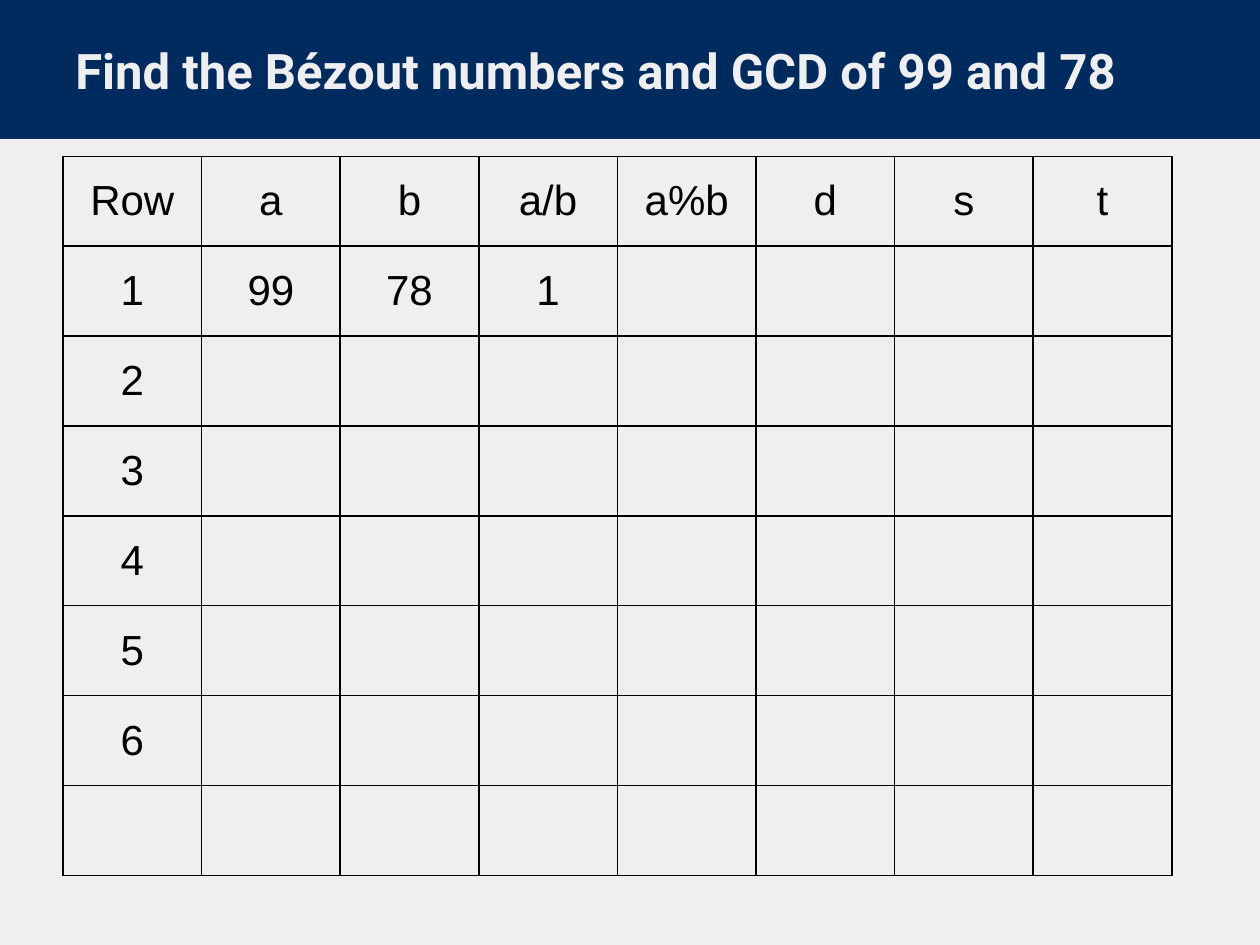
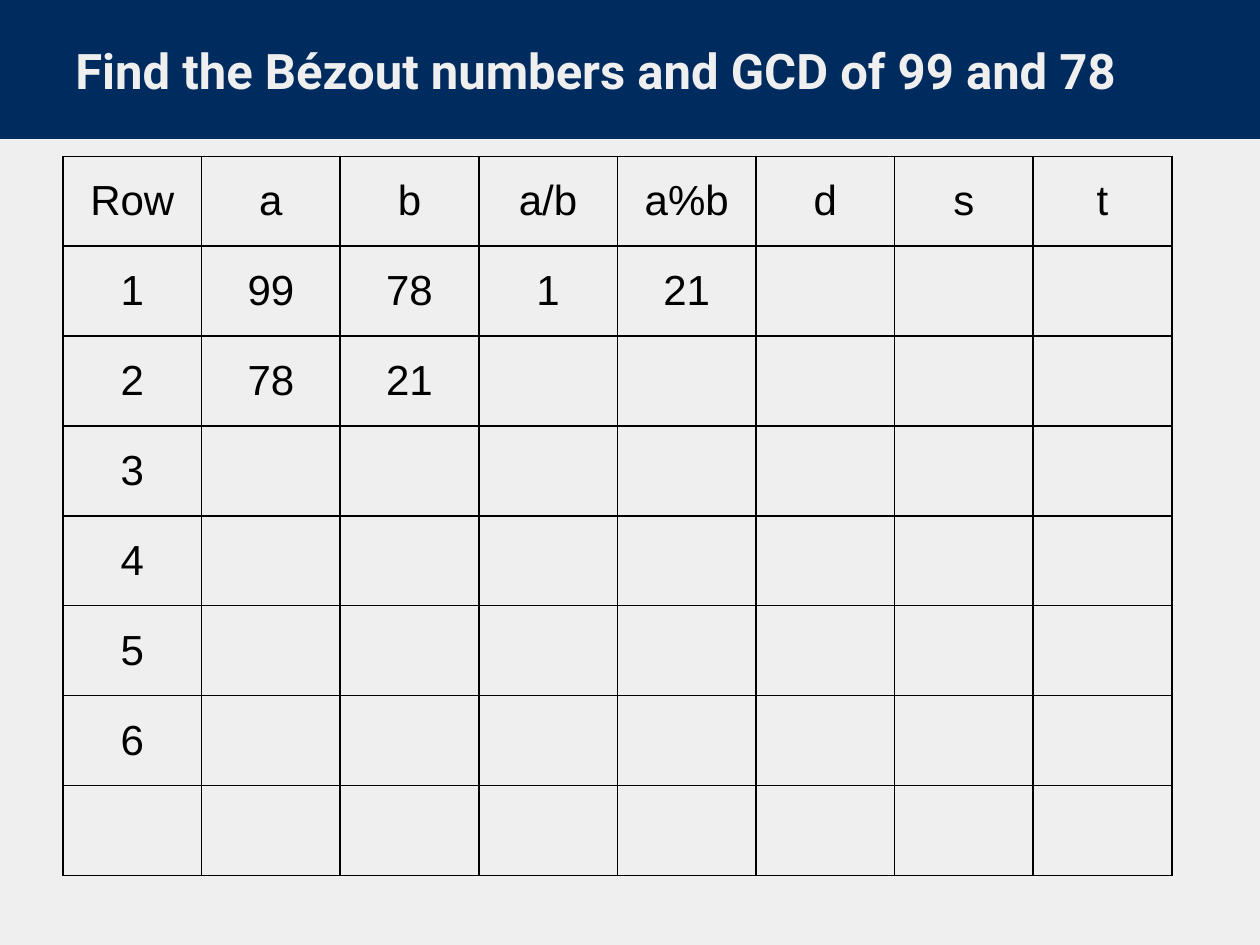
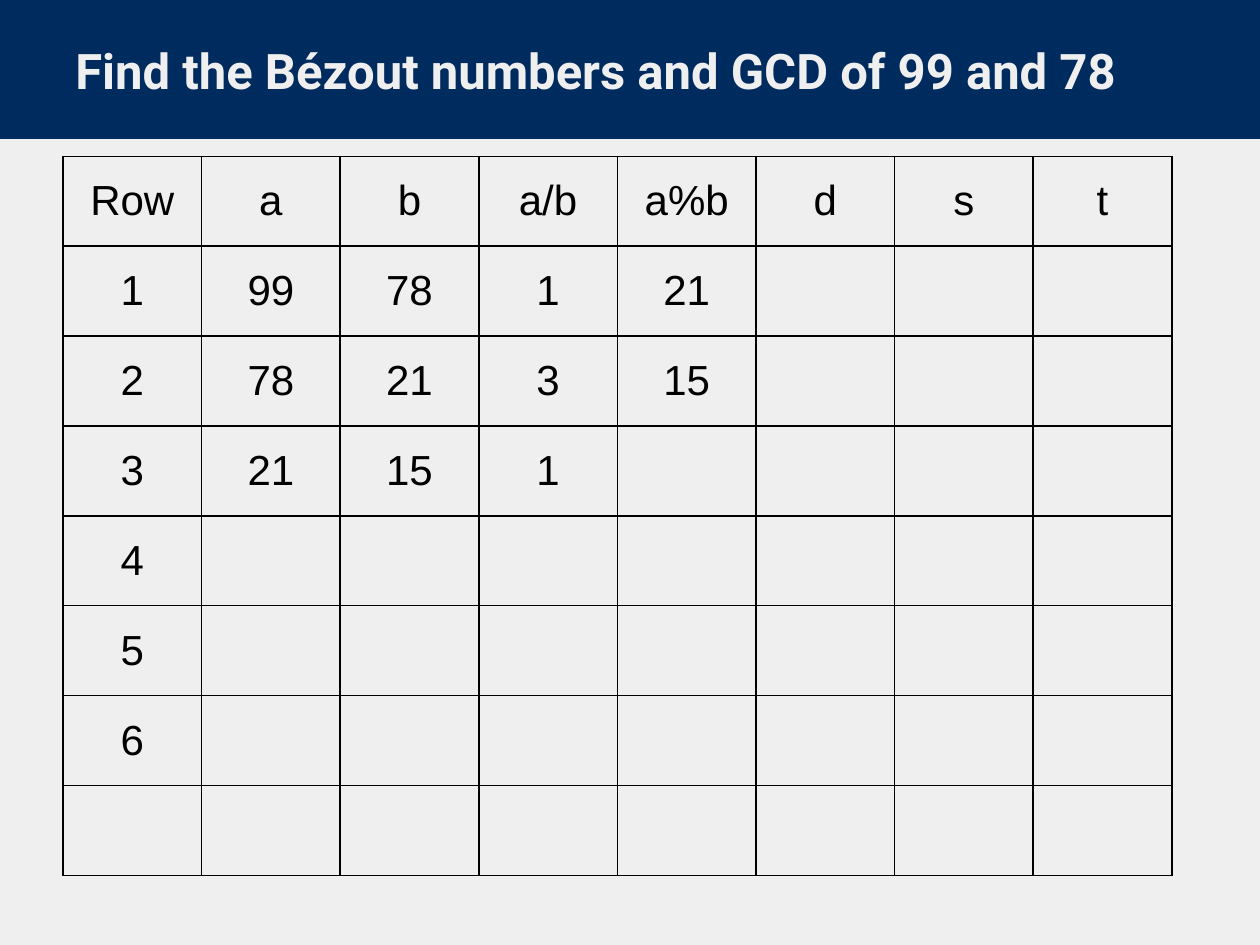
from lxml.etree import SubElement
from pptx import Presentation
from pptx.dml.color import RGBColor
from pptx.enum.shapes import MSO_SHAPE
from pptx.enum.text import MSO_ANCHOR, PP_ALIGN
from pptx.oxml.ns import qn
from pptx.util import Inches, Pt

# Content: the table fills up from slide to slide
TITLE = "Find the Bézout numbers and GCD of 99 and 78"
HEAD = ["Row", "a", "b", "a/b", "a%b", "d", "s", "t"]
LABELS = ["1", "2", "3", "4", "5", "6", ""]
STEPS = [
    [["99", "78", "1"]],
    [["99", "78", "1", "21"], ["78", "21"]],
    [["99", "78", "1", "21"], ["78", "21", "3", "15"], ["21", "15", "1"]],
]

# Shared look
COLORS = {"paper": "EFEFEF", "navy": "002B5E", "ink": "000000"}
TITLE_FONT = {"name": "Roboto", "size": Pt(28), "bold": True}
CELL_FONT = {"name": "Arial", "size": Pt(24), "bold": False}
TITLE_FRAME = {
    "word_wrap": True,
    "vertical_anchor": MSO_ANCHOR.BOTTOM,
    "margin_left": Inches(0.1),
    "margin_top": Inches(0.1),
    "margin_right": Inches(0.1),
    "margin_bottom": Inches(0.1),
}
PLAIN = {"first_row": False, "horz_banding": False}
WIDTH, HEIGHT = Inches(10), Inches(7.5)


def apply(item, values):
    for name, value in values.items():
        setattr(item, name, value)


def color(name):
    return RGBColor.from_string(COLORS[name])


def write(para, text, font, ink):
    run = para.add_run()
    run.text = text
    apply(run.font, font)
    run.font.color.rgb = color(ink)


def add_band(slide):
    band = slide.shapes.add_shape(MSO_SHAPE.RECTANGLE, 0, 0, WIDTH, Inches(1.09))
    band.shadow.inherit = False
    band.fill.solid()
    band.fill.fore_color.rgb = color("navy")
    band.line.color.rgb = color("navy")
    band.line.width = Pt(1.5)


def add_title(slide):
    box = slide.shapes.add_textbox(Inches(0.5), Inches(0.22), Inches(9), Inches(0.67))
    apply(box.text_frame, TITLE_FRAME)
    write(box.text_frame.paragraphs[0], TITLE, TITLE_FONT, "paper")


def add_borders(cell):
    props = cell._tc.get_or_add_tcPr()
    for side in ("lnL", "lnR", "lnT", "lnB"):
        line = SubElement(props, qn(f"a:{side}"), w=str(Pt(1)))
        fill = SubElement(line, qn("a:solidFill"))
        SubElement(fill, qn("a:srgbClr"), val=COLORS["ink"])


def add_grid(slide, step):
    # Known values come first in each row; the rest stays empty
    rows = [HEAD]
    for i, label in enumerate(LABELS):
        rows.append([label] + (step[i] if i < len(step) else []))
    table = slide.shapes.add_table(
        len(rows), len(HEAD), Inches(0.5), Inches(1.24), Inches(8.8), Inches(5.71)
    ).table
    apply(table, PLAIN)
    for r, row in enumerate(rows):
        for c in range(len(HEAD)):
            cell = table.cell(r, c)
            add_borders(cell)
            cell.fill.background()
            cell.vertical_anchor = MSO_ANCHOR.MIDDLE
            para = cell.text_frame.paragraphs[0]
            para.alignment = PP_ALIGN.CENTER
            if c < len(row) and row[c]:
                write(para, row[c], CELL_FONT, "ink")


def main():
    deck = Presentation()
    apply(deck, {"slide_width": WIDTH, "slide_height": HEIGHT})
    for step in STEPS:
        slide = deck.slides.add_slide(deck.slide_layouts[6])
        slide.background.fill.solid()
        slide.background.fill.fore_color.rgb = color("paper")
        add_band(slide)
        add_title(slide)
        add_grid(slide, step)
    deck.save("out.pptx")


if __name__ == "__main__":
    main()
